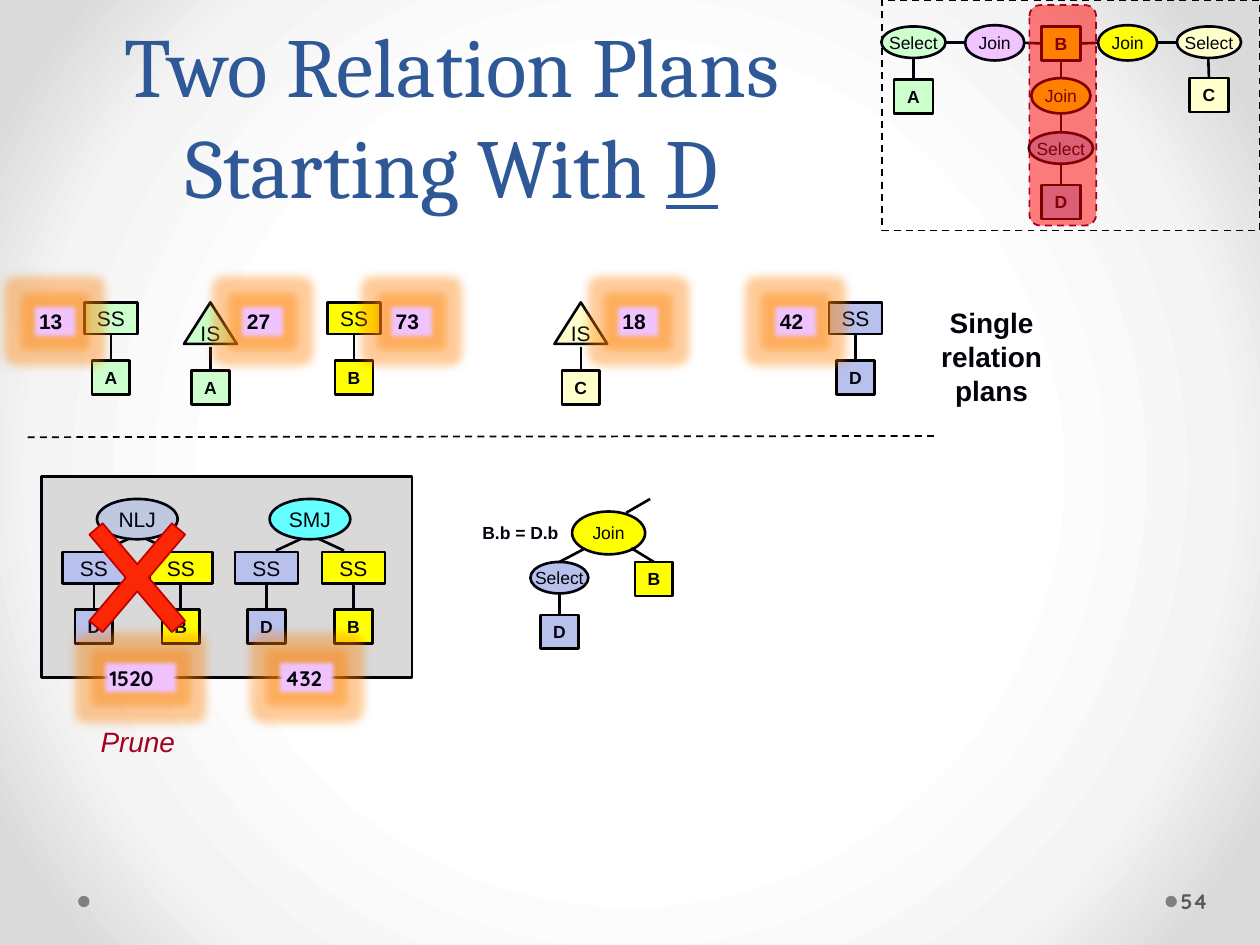
from typing import NamedTuple, Optional

from lxml.etree import SubElement
from pptx import Presentation
from pptx.dml.color import RGBColor
from pptx.enum.dml import MSO_LINE
from pptx.enum.shapes import MSO_CONNECTOR, MSO_SHAPE
from pptx.enum.text import MSO_ANCHOR, PP_ALIGN
from pptx.oxml import parse_xml
from pptx.oxml.ns import nsdecls, qn
from pptx.util import Inches, Pt

INK = RGBColor(0x01, 0x02, 0x0B)
BLACK = RGBColor(0, 0, 0)
GREEN = RGBColor(0xCC, 0xFF, 0xCC)
YELLOW = RGBColor(0xFF, 0xFF, 0)
CREAM = RGBColor(0xFF, 0xFF, 0xCC)
LILAC = RGBColor(0xB8, 0xC1, 0xEC)
STEEL = RGBColor(0xBF, 0xC8, 0xE1)
CYAN = RGBColor(0x66, 0xFF, 0xFF)
PINK = RGBColor(0xF1, 0xC4, 0xFF)
PANEL = RGBColor(0xD9, 0xD9, 0xD9)
DOT = RGBColor(0x80, 0x80, 0x80)
RED = RGBColor(0xFF, 0, 0)
CROSS = RGBColor(0xFC, 0x27, 0x04)
CROSS_EDGE = RGBColor(0xC0, 0, 0)
CRIMSON = RGBColor(0xA5, 0, 0x21)
TITLE = RGBColor(0x2F, 0x58, 0x97)
GREY = RGBColor(0x59, 0x59, 0x59)
RECT, OVAL, TRIANGLE = MSO_SHAPE.RECTANGLE, MSO_SHAPE.OVAL, MSO_SHAPE.ISOSCELES_TRIANGLE
TOP, LEFT, BOTTOM, RIGHT = range(4)

prs = Presentation()
prs.slide_width, prs.slide_height = Inches(10), Inches(7.5)
COL, ROW = prs.slide_width / 100, prs.slide_height / 75


class Box(NamedTuple):
    x: float
    y: float
    w: float
    h: float

    def emu(self) -> tuple:
        return round(self.x * COL), round(self.y * ROW), round(self.w * COL), round(self.h * ROW)


class Node(NamedTuple):
    kind: MSO_SHAPE
    label: str
    cx: float
    y: float
    w: float
    h: float
    fill: RGBColor
    size: int = 10


class Scan(NamedTuple):
    op: str
    table: str
    cx: float
    fill: RGBColor
    cost: str
    cost_x: float


class Edge(NamedTuple):
    x1: float
    y1: float
    x2: float
    y2: float
    table: Optional[str] = None
    side: int = TOP


def draw_shape(s, kind, box: Box, fill=None, line=None, width=1.5, dash=False):
    sp = s.shapes.add_shape(kind, *box.emu())
    sp.shadow.inherit = False
    if fill is None:
        sp.fill.background()
    else:
        sp.fill.solid()
        sp.fill.fore_color.rgb = fill
    if line is None:
        sp.line.fill.background()
    else:
        sp.line.color.rgb = line
        sp.line.width = Pt(width)
        if dash:
            sp.line.dash_style = MSO_LINE.DASH
    return sp


def write(sp, text: str, size: int, font="Arial", color=INK, align=PP_ALIGN.LEFT,
          anchor=MSO_ANCHOR.TOP, wrap=True, bold=False, italic=False):
    tf = sp.text_frame
    tf.text, tf.word_wrap, tf.vertical_anchor = text, wrap, anchor
    p = tf.paragraphs[0]
    p.alignment = align
    for r in p.runs:
        f = r.font
        f.name, f.size, f.bold, f.italic = font, Pt(size), bold, italic
        f.color.rgb = color
    return p


def draw_text(s, box: Box, text: str, size: int, **style):
    sp = s.shapes.add_textbox(*box.emu())
    return sp, write(sp, text, size, **style)


def draw_node(s, n: Node):
    leaf = len(n.label) == 1
    sp = draw_shape(s, n.kind, Box(n.cx - n.w / 2, n.y, n.w, n.h), n.fill, BLACK if leaf else INK)
    write(sp, n.label, n.size, align=PP_ALIGN.CENTER, wrap=False, bold=leaf,
          anchor=MSO_ANCHOR.TOP if leaf else MSO_ANCHOR.MIDDLE)
    return sp


def draw_line(s, x1: float, y1: float, x2: float, y2: float, width=1.5):
    c = s.shapes.add_connector(MSO_CONNECTOR.STRAIGHT, round(x1 * COL), round(y1 * ROW),
                               round(x2 * COL), round(y2 * ROW))
    c.line.color.rgb = INK
    c.line.width = Pt(width)
    SubElement(c._element.spPr, qn("a:effectLst"))
    return c


def draw_graph(s, nodes: list, edges: list):
    shapes = {n.label: draw_node(s, n) for n in nodes}
    for e in edges:
        c = draw_line(s, *e[:4])
        if e.table:
            c.end_connect(shapes[e.table], e.side)


def draw_scan(s, op: str, table: str, cx: float, y: float, w: float, fill: RGBColor):
    kind, h = (TRIANGLE, 3.3) if op == "IS" else (RECT, 2.5)
    top = draw_node(s, Node(kind, op, cx, y, w, h, fill, 12))
    leaf = draw_node(s, Node(RECT, table, cx, y + h + 2.1, 3, 2.7, fill))
    c = draw_line(s, cx, y + h + 0.2, cx, y + h + 2.1)
    if kind == RECT:
        c.begin_connect(top, BOTTOM)
    c.end_connect(leaf, TOP)


def draw_join(s, op: str, cx: float, fill: RGBColor):
    for side, table, color in ((-1, "D", LILAC), (1, "B", YELLOW)):
        draw_scan(s, "SS", table, cx + side * 3.45, 43.8, 5, color)
        draw_line(s, cx + side * 2.7, 43.7, cx + side * 0.55, 42.7)
    draw_node(s, Node(OVAL, op, cx, 39.6, 6.4, 3.2, fill, 12))


def draw_cost(s, box: Box, text: str, font="Arial"):
    sp = draw_shape(s, RECT, box, PINK)
    write(sp, text, 12, font=font, bold=True)
    sp.text_frame.margin_left, sp.text_frame.margin_right = Inches(0.07), 0
    effects = sp._element.spPr.find(qn("a:effectLst"))
    effects.append(parse_xml(
        f'<a:glow {nsdecls("a")} rad="139700"><a:srgbClr val="FF8000"><a:alpha val="40000"/></a:srgbClr></a:glow>'))
    effects.append(parse_xml(f'<a:softEdge {nsdecls("a")} rad="31750"/>'))


def draw_background(s):
    s.background.fill.solid()
    solid = s.element.find(".//" + qn("p:bgPr")).find(qn("a:solidFill"))
    stops = "".join(f'<a:gs pos="{pos}000"><a:srgbClr val="{c}"/></a:gs>'
                    for pos, c in ((50, "FFFFFF"), (76, "F4F4F4"), (92, "DADADA")))
    solid.getparent().replace(solid, parse_xml(
        f'<a:gradFill {nsdecls("a")} rotWithShape="1"><a:gsLst>{stops}</a:gsLst><a:path path="circle">'
        '<a:fillToRect l="50000" t="50000" r="50000" b="50000"/></a:path></a:gradFill>'))


SCANS = [Scan("SS", "B", 28.1, YELLOW, "73", 30.7), Scan("IS", "A", 16.7, GREEN, "27", 18.9),
         Scan("SS", "A", 8.8, GREEN, "13", 2.4), Scan("SS", "D", 67.9, LILAC, "42", 61.2),
         Scan("IS", "C", 46.1, CREAM, "18", 48.7)]
JOIN_NODES = [Node(OVAL, "Select", 44.4, 44.6, 4.6, 2.5, LILAC), Node(RECT, "D", 44.4, 48.8, 3, 2.7, LILAC),
              Node(RECT, "B", 51.9, 44.6, 3, 2.7, YELLOW), Node(OVAL, "Join", 48.3, 40.6, 5.8, 3.4, YELLOW)]
JOIN_EDGES = [Edge(44.4, 47.1, 44.4, 48.8, "D"), Edge(49.7, 40.7, 51.6, 39.6),
              Edge(44.4, 44.6, 46.3, 43.6), Edge(50.1, 43.5, 51.9, 44.6, "B")]
QUERY_NODES = [Node(RECT, "A", 72.5, 6.3, 3.1, 2.7, GREEN), Node(OVAL, "Select", 72.5, 2.1, 5.1, 2.5, GREEN),
               Node(OVAL, "Join", 78.95, 2, 4.7, 2.8, PINK), Node(OVAL, "Join", 89.5, 2, 4.7, 2.8, YELLOW),
               Node(RECT, "C", 95.95, 6.2, 3.1, 2.7, CREAM), Node(OVAL, "Select", 95.95, 2.1, 5.1, 2.5, CREAM),
               Node(OVAL, "Join", 84.2, 6.2, 4.7, 2.8, YELLOW), Node(RECT, "D", 84.2, 14.7, 3.1, 2.7, LILAC),
               Node(RECT, "B", 84.2, 2.1, 3.1, 2.7, YELLOW), Node(OVAL, "Select", 84.2, 10.5, 5.1, 2.5, LILAC)]
QUERY_EDGES = [Edge(72.5, 4.7, 72.5, 6.3, "A"), Edge(76.6, 3.4, 75, 3.4), Edge(93.4, 3.4, 91.8, 3.4),
               Edge(95.9, 4.7, 95.9, 6.2, "C"), Edge(84.2, 8.9, 84.2, 10.5),
               Edge(81.3, 3.4, 82.7, 3.5, "B", LEFT), Edge(87.2, 3.4, 85.8, 3.5, "B", RIGHT),
               Edge(84.2, 6.3, 84.2, 4.8, "B", BOTTOM), Edge(84.2, 13, 84.2, 14.7, "D")]


def main():
    """Build the slide on two-relation plans that start with D."""
    s = prs.slides.add_slide(prs.slide_layouts[6])
    draw_background(s)
    for x in (92.5, 6.2):
        draw_shape(s, OVAL, Box(x, 71.1, 0.9, 0.9), DOT)
    draw_shape(s, RECT, Box(3.3, 37.8, 29.4, 16), PANEL, INK)
    _, p = draw_text(s, Box(1.8, 10.1, 68.1, 7.5), "Two Relation Plans Starting With ", 48, font="Cambria",
                     color=TITLE, align=PP_ALIGN.CENTER, anchor=MSO_ANCHOR.BOTTOM)
    p.line_spacing = Pt(58)
    r = p.add_run()
    r.text = "D"
    r.font.name, r.font.size, r.font.underline = "Cambria", Pt(48), True
    r.font.color.rgb = TITLE
    sp, _ = draw_text(s, Box(93.4, 69.5, 6.1, 4), "54", 12, font="Quicksand", color=GREY,
                      anchor=MSO_ANCHOR.MIDDLE, bold=True)
    sp.text_frame.margin_left, sp.text_frame.margin_right = Inches(0.03), Inches(0.05)

    draw_graph(s, JOIN_NODES, JOIN_EDGES)
    draw_text(s, Box(37.3, 40.9, 9.5, 2.7), "B.b = D.b", 10, bold=True)
    draw_join(s, "NLJ", 10.9, STEEL)
    draw_join(s, "SMJ", 24.6, CYAN)
    draw_graph(s, QUERY_NODES, QUERY_EDGES)
    draw_cost(s, Box(8, 52.3, 6.3, 3), "1520", "Quicksand")
    draw_cost(s, Box(21.9, 52.3, 4.9, 3), "432", "Quicksand")

    draw_line(s, 2.2, 34.7, 74.4, 34.6, 1).line.dash_style = MSO_LINE.DASH
    draw_text(s, Box(72.3, 23.8, 12.8, 9.4), "Single relation plans", 16, align=PP_ALIGN.CENTER, bold=True)
    for scan in SCANS:
        draw_scan(s, scan.op, scan.table, scan.cx, 24, 4.2, scan.fill)
        draw_cost(s, Box(scan.cost_x, 24, 3.9, 3), scan.cost)

    draw_shape(s, RECT, Box(70, 0, 30, 18.3), None, BLACK, 1, True)
    cross = draw_shape(s, MSO_SHAPE.MATH_MULTIPLY, Box(4.6, 38.4, 12.6, 14.9), CROSS, CROSS_EDGE, 1)
    cross.adjustments[0] = 0.11
    band = draw_shape(s, MSO_SHAPE.ROUNDED_RECTANGLE, Box(81.7, 0.4, 5.3, 17.5), RED, CRIMSON, 1, True)
    color = band._element.spPr.find(qn("a:solidFill")).find(qn("a:srgbClr"))
    SubElement(color, qn("a:alpha")).set("val", "50000")
    draw_text(s, Box(7, 57, 8, 3.7), "Prune", 16, color=CRIMSON, wrap=False, italic=True)
    prs.save("out.pptx")


if __name__ == "__main__":
    main()
